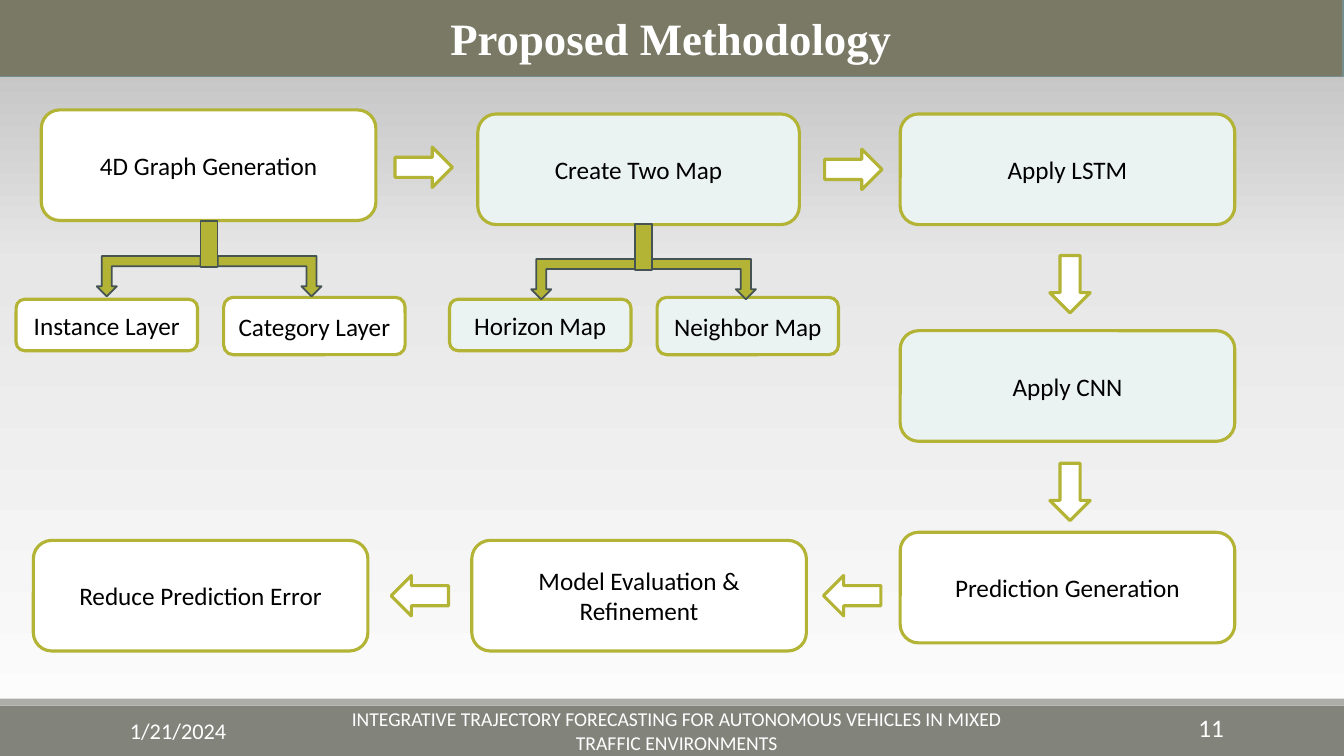
from copy import deepcopy
from dataclasses import dataclass

from pptx import Presentation
from pptx.dml.color import RGBColor
from pptx.enum.shapes import MSO_SHAPE
from pptx.enum.text import MSO_ANCHOR, PP_ALIGN
from pptx.oxml.ns import qn
from pptx.shapes.autoshape import Shape
from pptx.slide import Slide
from pptx.util import Pt

RECTANGLE = MSO_SHAPE.RECTANGLE
ROUNDED = MSO_SHAPE.ROUNDED_RECTANGLE
RIGHT_ARROW = MSO_SHAPE.RIGHT_ARROW
BENT_ARROW = MSO_SHAPE.BENT_UP_ARROW
LEFT, CENTER, RIGHT = PP_ALIGN.LEFT, PP_ALIGN.CENTER, PP_ALIGN.RIGHT
MIDDLE = MSO_ANCHOR.MIDDLE

COLORS = {
    "white": "FFFFFF",
    "black": "000000",
    "mist": "EBF2F2",
    "olive": "B3B435",
    "slate": "455453",
    "title": "797965",
    "title_line": "748D8D",
    "footer": "82847C",
    "footer_edge": "ACADA8",
}
BACKGROUND_STOPS = ((0, "FEFEFE"), (0.65, "E7E7E7"), (1, "B9B9B9"))

WIDTH, HEIGHT = 960, 540
STEP_WIDTH, STEP_HEIGHT = 239, 79
DETAIL_WIDTH = 129.6
ARROW_WIDTH, ARROW_HEIGHT = 41, 28.8
STEM_WIDTH, STEM_HEIGHT = 12.2, 33.1
ARM_WIDTH, ARM_HEIGHT, ARM_DROP = 74.2, 28.8, 25.2

BODY_FONT = {"name": "Calibri", "size": Pt(18), "bold": False}
TITLE_FONT = {"name": "Times New Roman", "size": Pt(32), "bold": True}


@dataclass
class Box:
    text: str
    left: float
    top: float
    fill: str = "white"
    width: float = STEP_WIDTH
    height: float = STEP_HEIGHT


@dataclass
class FlowArrow:
    left: float
    top: float
    rotation: int = 0


@dataclass
class Branch:
    stem_left: float
    stem_top: float


@dataclass
class FooterField:
    text: str
    left: float
    top: float
    width: float
    size: int
    alignment: PP_ALIGN


BOXES = (
    Box("4D Graph Generation", 29.5, 78.5),
    Box("Create Two Map", 341.3, 81.4, "mist", 229.7),
    Box("Apply LSTM", 643, 81.4, "mist"),
    Box("Apply CNN", 643, 236.2, "mist"),
    Box("Prediction Generation", 643, 380.2),
    Box("Model Evaluation & Refinement", 337, 386),
    Box("Reduce Prediction Error", 23.8, 386),
    Box("Instance Layer", 11.5, 213.8, "white", DETAIL_WIDTH, 36.7),
    Box("Category Layer", 159.8, 212.4, "white", DETAIL_WIDTH, 41),
    Box("Horizon Map", 321.1, 213.8, "mist", DETAIL_WIDTH, 36.7),
    Box("Neighbor Map", 469.4, 212.4, "mist", DETAIL_WIDTH, 41),
)
FLOW_ARROWS = (
    FlowArrow(282.2, 105.1),
    FlowArrow(589, 106.6),
    FlowArrow(743.8, 188.6, 90),
    FlowArrow(743.8, 337, 90),
    FlowArrow(588.2, 411.1, 180),
    FlowArrow(279.4, 411.1, 180),
)
BRANCHES = (Branch(143.3, 157.7), Branch(453.6, 159.8))
FOOTER_FIELDS = (
    FooterField("1/21/2024", 85.7, 507.6, 194.4, 16, LEFT),
    FooterField(
        "INTEGRATIVE TRAJECTORY FORECASTING FOR AUTONOMOUS VEHICLES IN MIXED "
        "TRAFFIC ENVIRONMENTS", 242.6, 507.6, 481.7, 14, CENTER),
    FooterField("11", 778.3, 505.4, 103, 18, RIGHT),
)


def color(name: str) -> RGBColor:
    return RGBColor.from_string(COLORS[name])


def paint_background(slide: Slide) -> None:
    fill = slide.background.fill
    fill.gradient()
    fill.gradient_angle = 90
    stop_list = next(slide.element.iter(qn("a:gsLst")))
    stop_list.insert(1, deepcopy(stop_list[0]))
    for stop, (position, hex_color) in zip(fill.gradient_stops, BACKGROUND_STOPS):
        stop.position = position
        stop.color.rgb = RGBColor.from_string(hex_color)


def add_figure(slide: Slide, kind: MSO_SHAPE, left: float, top: float, width: float,
               height: float, fill: str, line: str = "", line_width: float = 2.25) -> Shape:
    """Add a flat preset shape; without a line colour it has no outline."""
    shape = slide.shapes.add_shape(kind, Pt(left), Pt(top), Pt(width), Pt(height))
    shape.shadow.inherit = False
    shape.fill.solid()
    shape.fill.fore_color.rgb = color(fill)
    if line:
        shape.line.color.rgb = color(line)
        shape.line.width = Pt(line_width)
    else:
        shape.line.fill.background()
    return shape


def write_text(shape: Shape, text: str, font_format: dict, font_color: str,
               alignment: PP_ALIGN = CENTER) -> None:
    frame = shape.text_frame
    frame.word_wrap = True
    frame.vertical_anchor = MIDDLE
    paragraph = frame.paragraphs[0]
    paragraph.alignment = alignment
    run = paragraph.add_run()
    run.text = text
    for attribute, value in font_format.items():
        setattr(run.font, attribute, value)
    run.font.color.rgb = color(font_color)


def add_box(slide: Slide, box: Box) -> None:
    shape = add_figure(slide, ROUNDED, box.left, box.top, box.width, box.height,
                       box.fill, "olive")
    write_text(shape, box.text, BODY_FONT, "black")


def add_flow_arrow(slide: Slide, arrow: FlowArrow) -> None:
    shape = add_figure(slide, RIGHT_ARROW, arrow.left, arrow.top,
                       ARROW_WIDTH, ARROW_HEIGHT, "white", "olive")
    shape.rotation = arrow.rotation


def add_branch(slide: Slide, branch: Branch) -> None:
    """Draw two mirrored bent arrows that leave a common stem."""
    for offset, mirrored in ((-ARM_WIDTH, False), (STEM_WIDTH, True)):
        arm = add_figure(slide, BENT_ARROW, branch.stem_left + offset,
                         branch.stem_top + ARM_DROP, ARM_WIDTH, ARM_HEIGHT,
                         "olive", "slate", 1.25)
        arm.rotation = 180
        if mirrored:
            arm.element.spPr.find(qn("a:xfrm")).set("flipH", "1")
    add_figure(slide, RECTANGLE, branch.stem_left, branch.stem_top,
               STEM_WIDTH, STEM_HEIGHT, "olive", "slate", 1.25)


def add_footer_field(slide: Slide, field: FooterField) -> None:
    shape = slide.shapes.add_textbox(Pt(field.left), Pt(field.top), Pt(field.width), Pt(28.8))
    write_text(shape, field.text, BODY_FONT | {"size": Pt(field.size)}, "white",
               field.alignment)


def main() -> None:
    presentation = Presentation()
    presentation.slide_width, presentation.slide_height = Pt(WIDTH), Pt(HEIGHT)
    slide = presentation.slides.add_slide(presentation.slide_layouts[6])
    paint_background(slide)

    add_figure(slide, RECTANGLE, 0, 504, WIDTH, 36, "footer")
    add_figure(slide, RECTANGLE, 0, 499, WIDTH, 5, "footer_edge")
    title = add_figure(slide, RECTANGLE, -0.7, -0.7, WIDTH, 55.4, "title", "title_line", 1.25)
    write_text(title, "Proposed Methodology", TITLE_FONT, "white")

    for box in BOXES:
        add_box(slide, box)
    for arrow in FLOW_ARROWS:
        add_flow_arrow(slide, arrow)
    for branch in BRANCHES:
        add_branch(slide, branch)
    for field in FOOTER_FIELDS:
        add_footer_field(slide, field)
    presentation.save("out.pptx")


if __name__ == "__main__":
    main()
